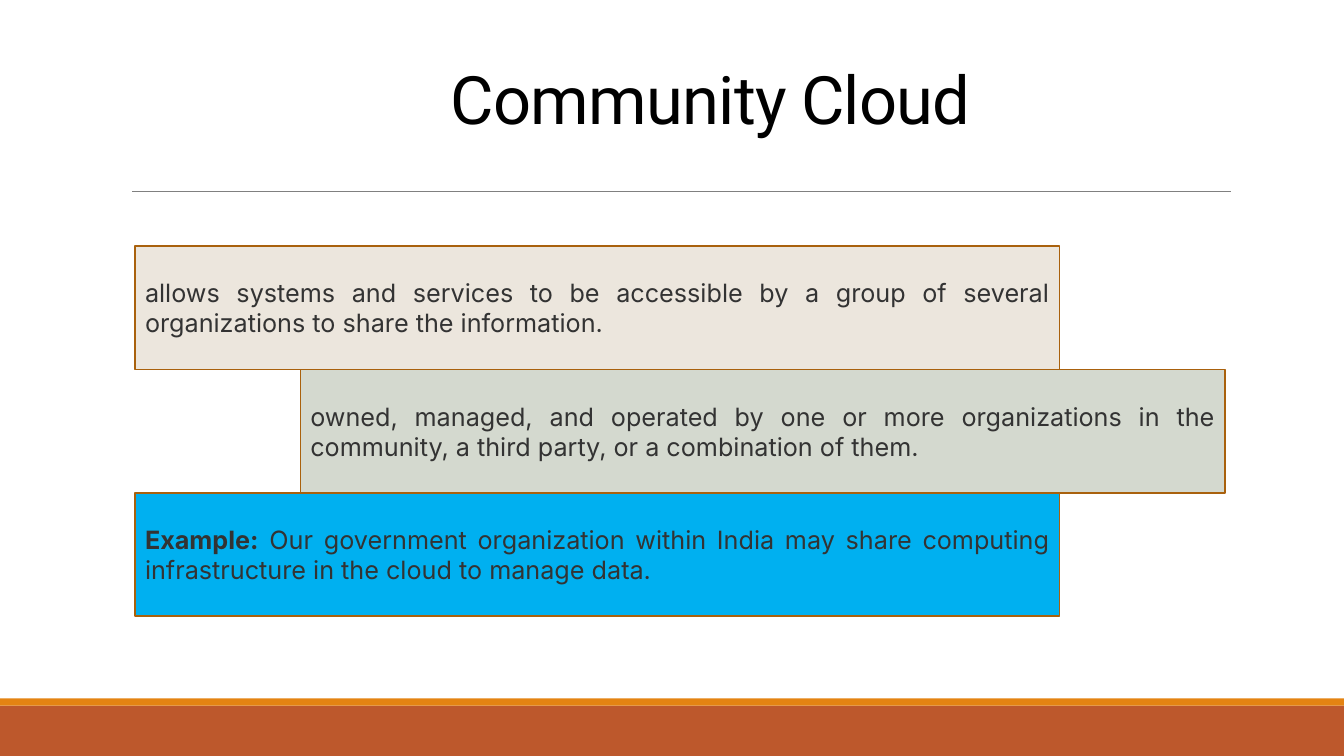
from dataclasses import dataclass

from lxml import etree
from pptx import Presentation
from pptx.dml.color import RGBColor
from pptx.enum import shapes, text
from pptx.oxml.ns import qn
from pptx.util import Inches, Pt


@dataclass
class Run:
    words: str
    size: float
    font: str
    hue: str
    bold: bool = False
    track: int = 0


@dataclass
class Bar:
    left: float
    top: float
    width: float
    height: float
    fill: str


@dataclass
class Card:
    left: float
    fill: str
    runs: list[Run]


def color(code: str) -> RGBColor:
    return RGBColor.from_string(code)


def write(para, runs: list[Run]) -> None:
    for item in runs:
        run = para.add_run()
        run.text = item.words
        run.font.size = Pt(item.size)
        run.font.name = item.font
        run.font.bold = item.bold
        run.font.color.rgb = color(item.hue)
        if item.track:
            run.font._element.set("spc", str(item.track))


def add_bar(slide, bar: Bar):
    box = slide.shapes.add_shape(
        shapes.MSO_SHAPE.RECTANGLE,
        Inches(bar.left), Inches(bar.top), Inches(bar.width), Inches(bar.height))
    box.shadow.inherit = False
    box.fill.solid()
    box.fill.fore_color.rgb = color(bar.fill)
    box.line.fill.background()
    return box


def add_card(slide, card: Card, row: int) -> None:
    box = add_bar(slide, Bar(card.left, TOP + row * STEP, 9.17, STEP, card.fill))
    box.line.color.rgb = color("A9610D")
    box.line.width = Pt(1.25)
    frame = box.text_frame
    frame.word_wrap = True
    frame.vertical_anchor = text.MSO_ANCHOR.MIDDLE
    para = frame.paragraphs[0]
    para.alignment = text.PP_ALIGN.JUSTIFY
    write(para, card.runs)


def add_title(slide) -> None:
    box = slide.shapes.add_textbox(Inches(4.37), Inches(0.65), Inches(7.13), Inches(0.77))
    frame = box.text_frame
    frame.word_wrap = True
    frame.vertical_anchor = text.MSO_ANCHOR.BOTTOM
    para = frame.paragraphs[0]
    para.line_spacing = 0.85
    write(para, TITLE)


def add_rule(slide) -> None:
    rule = slide.shapes.add_connector(
        shapes.MSO_CONNECTOR.STRAIGHT, Inches(1.31), Inches(1.9), Inches(12.21), Inches(1.9))
    rule.line.color.rgb = color("808080")
    rule.line.width = Pt(0.5)
    etree.SubElement(rule._element.spPr, qn("a:effectLst"))


def body(words: str, bold: bool = False) -> Run:
    return Run(words, 18, "Inter", "333333", bold)


TOP, STEP = 2.44, 1.225
LEFT, RIGHT = 1.34, 2.98
BARS = [Bar(0, 7, 13.33, 0.5, "BD582C"), Bar(0, 6.93, 13.33, 0.07, "E48312")]
TITLE = [
    Run("Community", 47.7, "Roboto", "000000", track=-50),
    Run(" ", 43.2, "Calibri", "404040", track=-50),
    Run("Cloud", 47.7, "Roboto", "000000", track=-50),
]
CARDS = [
    Card(LEFT, "ECE6DD", [body(
        "allows systems and services to be accessible by a group of several "
        "organizations to share the information.")]),
    Card(RIGHT, "D4D9CF", [body(
        "owned, managed, and operated by one or more organizations in the "
        "community, a third party, or a combination of them.")]),
    Card(LEFT, "00B0F0", [
        body("Example:", bold=True),
        body(" Our government organization within India may share computing "
             "infrastructure in the cloud to manage data.")]),
]


def main() -> None:
    deck = Presentation()
    deck.slide_width, deck.slide_height = Inches(13.33), Inches(7.5)
    slide = deck.slides.add_slide(deck.slide_layouts[6])
    for bar in BARS:
        add_bar(slide, bar)
    add_rule(slide)
    add_title(slide)
    for row, card in enumerate(CARDS):
        add_card(slide, card, row)
    deck.save("out.pptx")


if __name__ == "__main__":
    main()
